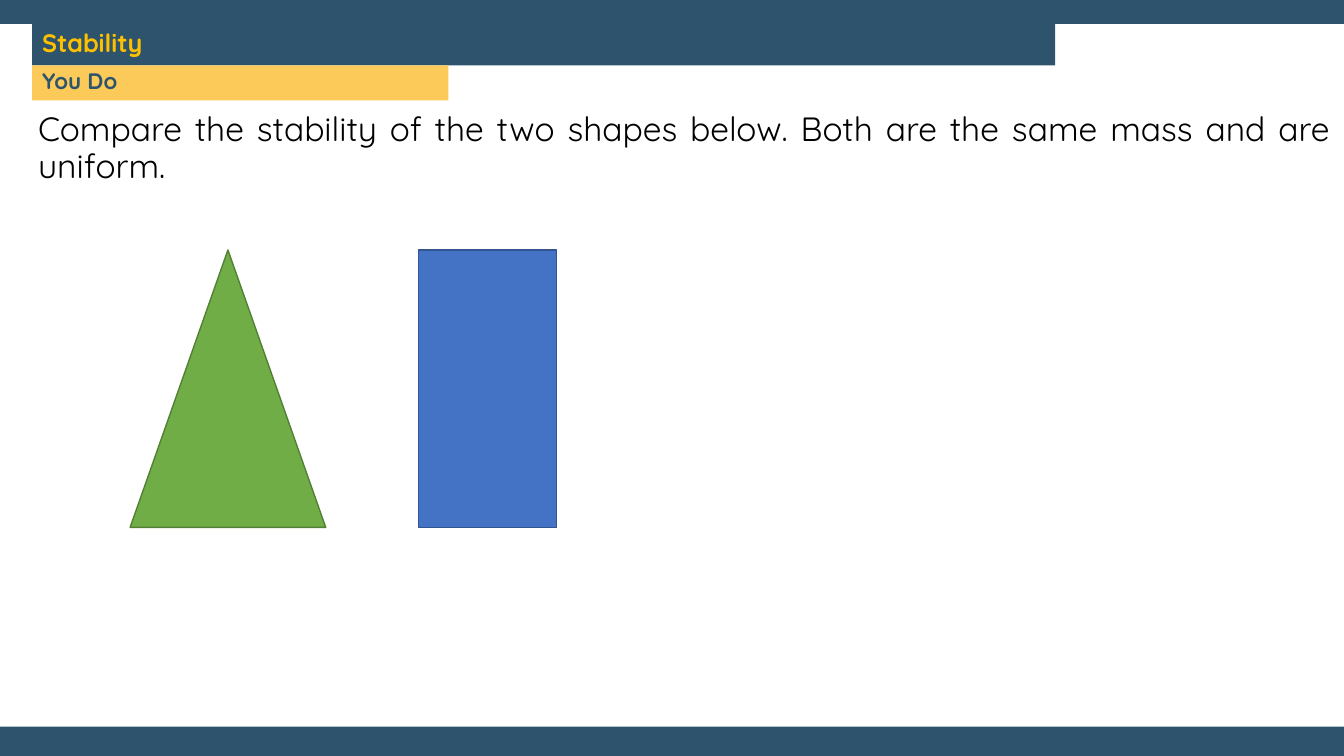
import pptx
import pptx.dml.color
import pptx.enum.shapes
import pptx.enum.text
import pptx.util

Cm = pptx.util.Cm
Pt = pptx.util.Pt
MSO_SHAPE = pptx.enum.shapes.MSO_SHAPE
ANCHOR = pptx.enum.text.MSO_ANCHOR
ALIGN = pptx.enum.text.PP_ALIGN

WIDTH, HEIGHT = 33.87, 19.05
NAVY, YELLOW, WHITE = "2E546D", "FBCA58", "FFFFFF"
BAND_TOP, BAND_LEFT = 0.61, 0.81
TITLE_HEIGHT = 1.04
FIGURE_TOP, FIGURE_HEIGHT = 6.3, 6.99


def rgb(value):
    return pptx.dml.color.RGBColor.from_string(value)


def add_figure(slide, kind, left, top, width, height, fill, line=None):
    sp = slide.shapes.add_shape(kind, Cm(left), Cm(top), Cm(width), Cm(height))
    sp.shadow.inherit = False
    sp.fill.solid()
    sp.fill.fore_color.rgb = rgb(fill)
    if line:
        sp.line.color.rgb = rgb(line)
        sp.line.width = Pt(1)
    else:
        sp.line.fill.background()
    return sp


def set_text(sp, text, size, color, bold=False, align=ALIGN.LEFT, anchor=ANCHOR.TOP):
    tf = sp.text_frame
    tf.word_wrap = True
    tf.vertical_anchor = anchor
    p = tf.paragraphs[0]
    p.text = text
    p.alignment = align
    p.line_spacing = 0.9
    p.font.name = "Quicksand"
    p.font.size = Pt(size)
    p.font.bold = bold
    p.font.color.rgb = rgb(color)


def add_band(slide, text, top, width, height, fill, size, color, anchor):
    sp = add_figure(slide, MSO_SHAPE.RECTANGLE, BAND_LEFT, top, width, height, fill)
    set_text(sp, text, size, color, bold=True, anchor=anchor)


def add_question(slide, text):
    sp = slide.shapes.add_textbox(Cm(0.71), Cm(2.72), Cm(33.05), Cm(7.19))
    set_text(sp, text, 24, "000000", align=ALIGN.JUSTIFY)


def main():
    prs = pptx.Presentation()
    prs.slide_width, prs.slide_height = Cm(WIDTH), Cm(HEIGHT)
    slide = prs.slides.add_slide(prs.slide_layouts[6])

    add_figure(slide, MSO_SHAPE.RECTANGLE, 0, 0, WIDTH, HEIGHT, NAVY)
    add_figure(slide, MSO_SHAPE.RECTANGLE, 0, BAND_TOP, WIDTH, 17.7, WHITE)

    add_question(slide, "Compare the stability of the two shapes below. "
                        "Both are the same mass and are uniform.")
    add_band(slide, "Stability", BAND_TOP, 25.78, TITLE_HEIGHT,
             NAVY, 18, "FFC000", ANCHOR.MIDDLE)
    add_band(slide, "You Do", BAND_TOP + TITLE_HEIGHT, 10.49, 0.88,
             YELLOW, 16, NAVY, ANCHOR.TOP)

    add_figure(slide, MSO_SHAPE.ISOSCELES_TRIANGLE, 3.28, FIGURE_TOP,
               4.93, FIGURE_HEIGHT, "70AD47", "538035")
    add_figure(slide, MSO_SHAPE.RECTANGLE, 10.55, FIGURE_TOP,
               3.47, FIGURE_HEIGHT, "4472C4", "325491")

    prs.save("out.pptx")


if __name__ == "__main__":
    main()
